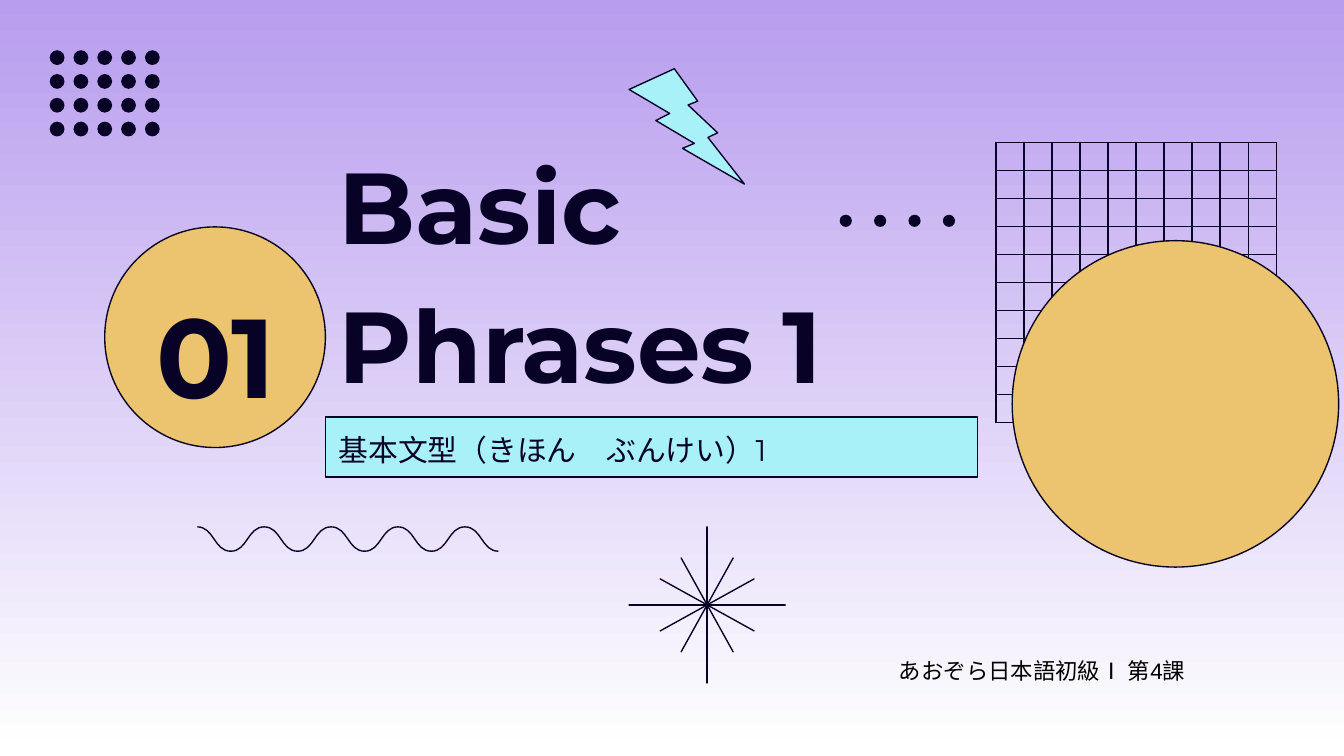
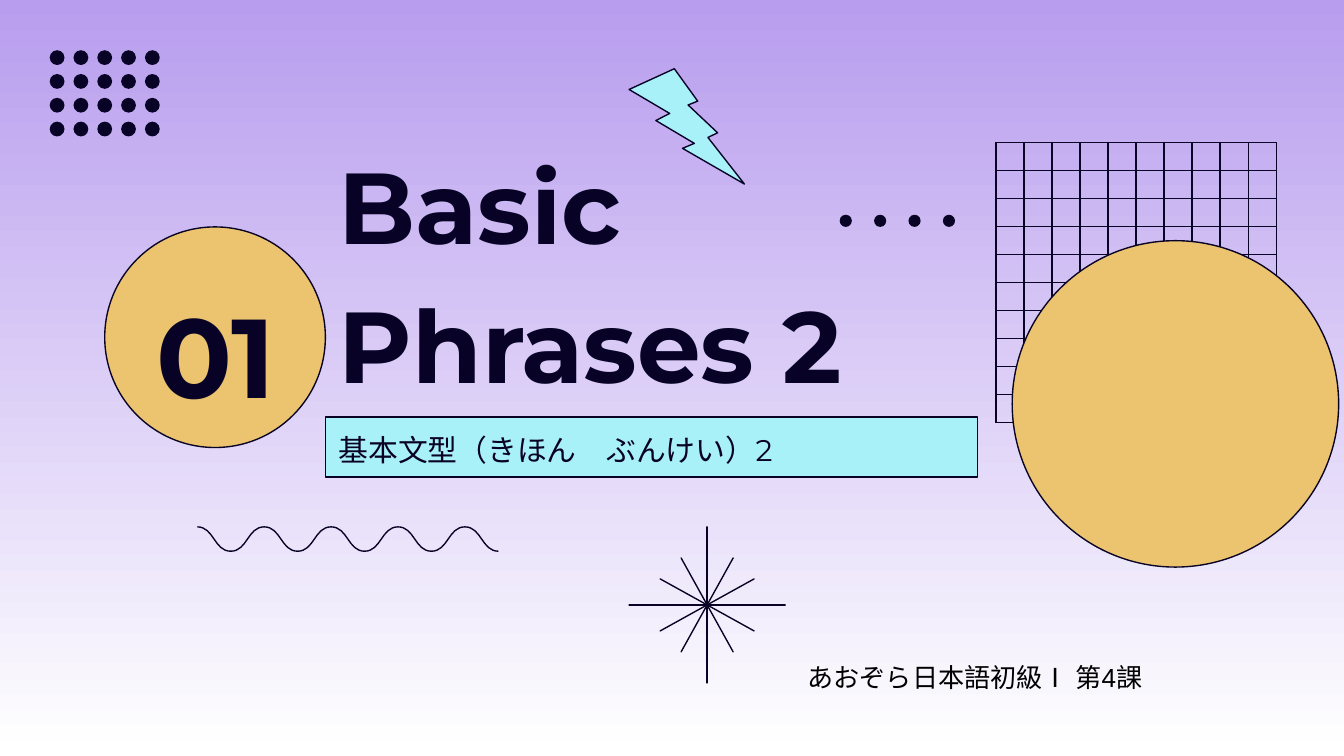
from pptx import Presentation
from pptx.dml.color import RGBColor
from pptx.enum.shapes import MSO_CONNECTOR, MSO_SHAPE
from pptx.enum.text import MSO_ANCHOR, MSO_AUTO_SIZE, PP_ALIGN
from pptx.oxml.ns import qn
from pptx.util import Cm, Pt
from lxml import etree

COLORS = {
    "ink": "080326",
    "gold": "ECC36F",
    "aqua": "A9F1F9",
    "top": "B89DEE",
    "bottom": "FFFFFF",
    "footer": "000000",
}
HEAD_FONT = "Montserrat"
FOOT_FONT = "Arial"
LINE = Pt(0.75)


def rgb(name):
    return RGBColor.from_string(COLORS[name])


def style(sp, fill=None, line="ink"):
    sp.shadow.inherit = False
    if fill:
        sp.fill.solid()
        sp.fill.fore_color.rgb = rgb(fill)
    else:
        sp.fill.background()
    if line:
        sp.line.color.rgb = rgb(line)
        sp.line.width = LINE
    else:
        sp.line.fill.background()


def add_shape(shapes, kind, x, y, w, h, fill=None, line="ink"):
    sp = shapes.add_shape(kind, Cm(x), Cm(y), Cm(w), Cm(h))
    style(sp, fill, line)
    return sp


def add_line(shapes, x1, y1, x2, y2):
    c = shapes.add_connector(MSO_CONNECTOR.STRAIGHT, Cm(x1), Cm(y1), Cm(x2), Cm(y2))
    c.line.color.rgb = rgb("ink")
    c.line.width = LINE
    etree.SubElement(c._element.spPr, qn("a:effectLst"))


def write(sp, text, size, anchor, align=PP_ALIGN.LEFT, bold=False):
    """Heading text with the inset and line spacing all headings share."""
    tf = sp.text_frame
    tf.word_wrap = True
    tf.vertical_anchor = anchor
    tf.margin_left = tf.margin_right = tf.margin_top = tf.margin_bottom = Cm(0.25)
    p = tf.paragraphs[0]
    p.text = text
    p.alignment = align
    p.line_spacing = 1.15
    p.font.name = HEAD_FONT
    p.font.size = Pt(size)
    p.font.bold = bold
    p.font.color.rgb = rgb("ink")


def background(s):
    fill = s.background.fill
    fill.gradient()
    fill.gradient_angle = 270
    for stop, name in zip(fill.gradient_stops, ("top", "bottom")):
        stop.color.rgb = rgb(name)


def number_badge(s, x, y, d, number):
    add_shape(s.shapes, MSO_SHAPE.OVAL, x, y, d, d, "gold")
    tb = s.shapes.add_textbox(Cm(x + 0.36), Cm(y + 0.82), Cm(d - 0.69), Cm(2.77))
    write(tb, number, 60, MSO_ANCHOR.MIDDLE, PP_ALIGN.CENTER, True)


def heading(s, x, y, w, title, subtitle):
    title_h = 2.77
    tb = s.shapes.add_textbox(Cm(x), Cm(y), Cm(w), Cm(title_h))
    write(tb, title, 54, MSO_ANCHOR.BOTTOM, bold=True)
    bar = add_shape(s.shapes, MSO_SHAPE.RECTANGLE, x, y + title_h, w, 1.14, "aqua")
    write(bar, subtitle, 16, MSO_ANCHOR.MIDDLE)


def wave(s, x, y, w, h, halves=9):
    step = w / halves
    points = [(Cm(x + i * step), Cm(y + h * (i % 2))) for i in range(halves + 1)]
    fb = s.shapes.build_freeform(*points[0])
    fb.add_line_segments(points[1:], close=False)
    sp = fb.convert_to_shape()
    style(sp)
    # Turn each straight half wave into an S curve with level ends
    x0, y0 = 0, 0
    for seg in list(sp._element.iter(qn("a:lnTo"))):
        end = seg[0]
        x1, y1 = int(end.get("x")), int(end.get("y"))
        seg.tag = qn("a:cubicBezTo")
        mid = str((x0 + x1) // 2)
        for cy in (y0, y1):
            end.addprevious(etree.Element(qn("a:pt"), x=mid, y=str(cy)))
        x0, y0 = x1, y1


def starburst(s, x, y, d):
    shapes = s.shapes.add_group_shape().shapes
    small = 2.03
    inset = (d - small) / 2
    for pad, size, angle in ((0, d, 0), (inset, small, 29), (inset, small, 331)):
        sp = add_shape(shapes, MSO_SHAPE.STAR_4_POINT, x + pad, y + pad, size, size)
        sp.adjustments[0] = 0
        sp.rotation = angle


def dots(s, x, y, d, pitch, cols, rows=1):
    shapes = s.shapes.add_group_shape().shapes
    for row in range(rows):
        for col in range(cols):
            add_shape(shapes, MSO_SHAPE.OVAL, x + col * pitch, y + row * pitch,
                      d, d, "ink", None)


def mesh(s, x, y, size, cells=10):
    shapes = s.shapes.add_group_shape().shapes
    steps = [i * size / cells for i in range(cells + 1)]
    for t in steps:
        add_line(shapes, x + t, y, x + t, y + size)
    for t in steps:
        add_line(shapes, x, y + t, x + size, y + t)


def footer(s, x, y, w, h, size):
    tb = s.shapes.add_textbox(Cm(x), Cm(y), Cm(w), Cm(h))
    tf = tb.text_frame
    tf.word_wrap = True
    tf.auto_size = MSO_AUTO_SIZE.SHAPE_TO_FIT_TEXT
    p = tf.paragraphs[0]
    p.text = "あおぞら日本語初級Ⅰ 第4課"
    p.font.name = FOOT_FONT
    p.font.size = Pt(size)
    p.font.color.rgb = rgb("footer")


def section_slide(prs, title, subtitle, footer_box, footer_size):
    s = prs.slides.add_slide(prs.slide_layouts[6])
    background(s)
    # Section number, title and subtitle
    number_badge(s, 1.98, 4.29, 4.17, "01")
    heading(s, 6.15, 5.11, 12.32, title, subtitle)
    # Decoration
    wave(s, 3.73, 9.96, 5.69, 0.46)
    add_shape(s.shapes, MSO_SHAPE.LIGHTNING_BOLT, 11.89, 1.3, 2.18, 2.18, "aqua")
    starburst(s, 11.89, 9.96, 2.95)
    dots(s, 0.94, 0.95, 0.28, 0.45, cols=5, rows=4)
    mesh(s, 18.82, 2.69, 5.3)
    add_shape(s.shapes, MSO_SHAPE.OVAL, 19.13, 4.55, 6.17, 6.17, "gold")
    dots(s, 15.87, 4.06, 0.23, 0.65, cols=4)
    # Textbook lesson
    footer(s, *footer_box, footer_size)


def main():
    prs = Presentation()
    prs.slide_width, prs.slide_height = Cm(25.4), Cm(14.29)
    section_slide(prs, "Basic Phrases 1", "基本文型（きほん　ぶんけい）1",
                  (16.74, 12.29, 7.82, 0.77), 12)
    section_slide(prs, "Basic Phrases 2", "基本文型（きほん　ぶんけい）2",
                  (15.01, 12.37, 7.19, 0.86), 14)
    prs.save("out.pptx")


if __name__ == "__main__":
    main()
